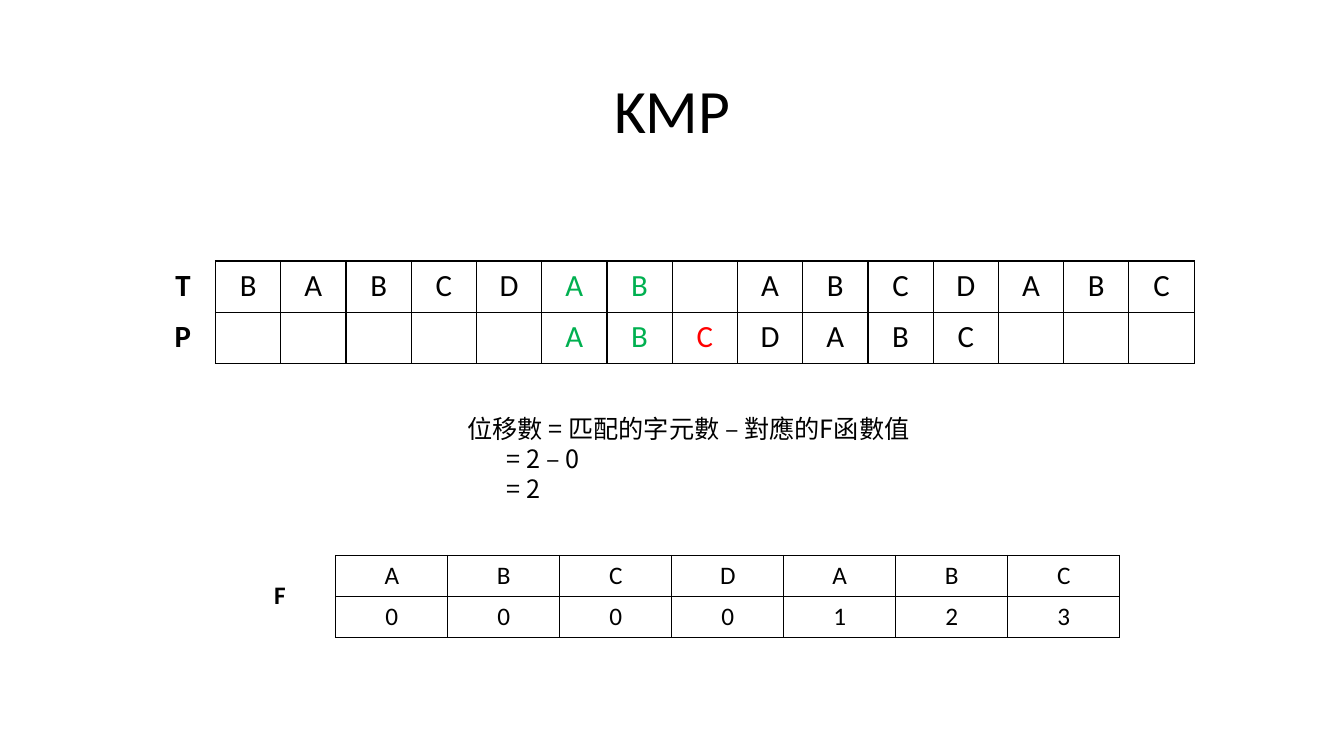
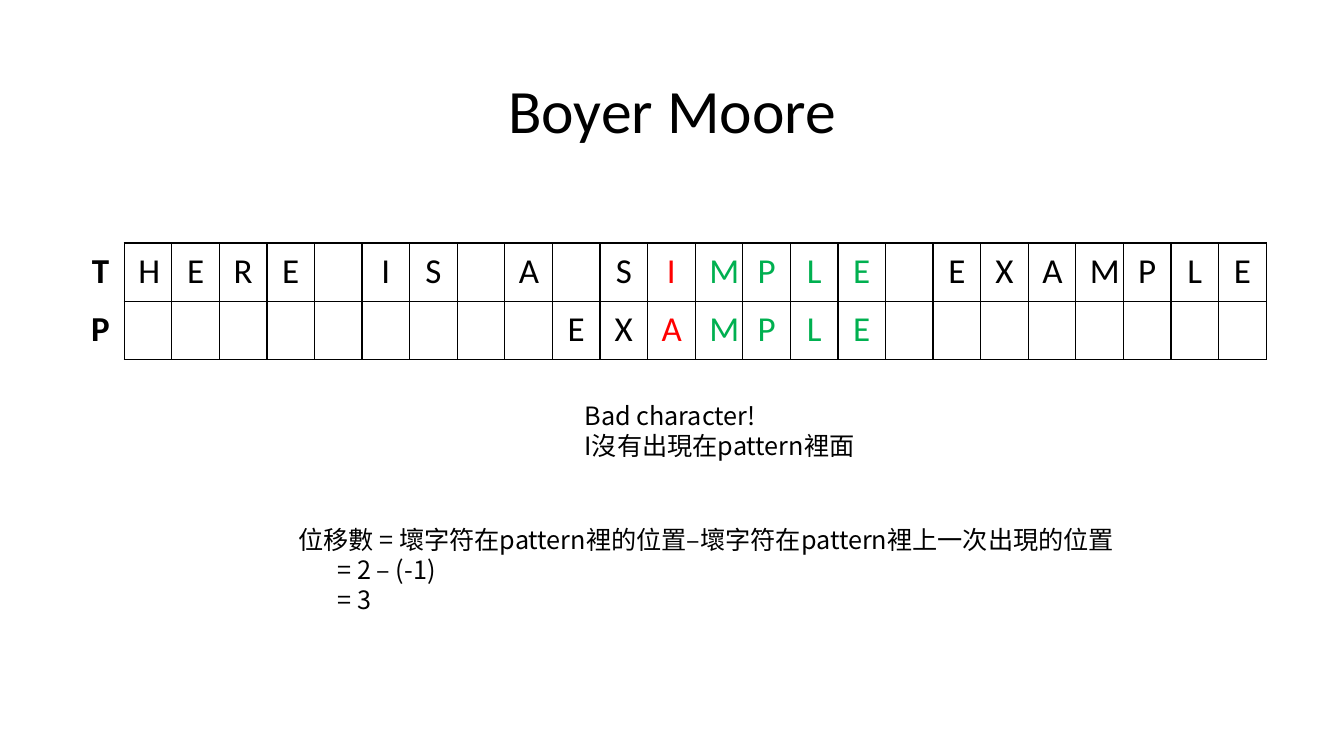
from lxml.etree import SubElement
from pptx import Presentation
from pptx.dml.color import RGBColor
from pptx.enum.text import MSO_ANCHOR as Anchor, MSO_AUTO_SIZE as AutoSize, PP_ALIGN as Align
from pptx.oxml import parse_xml
from pptx.oxml.ns import nsdecls, qn
from pptx.util import Inches, Pt

SLIDE_WIDTH, SLIDE_HEIGHT = Inches(13.333), Inches(7.5)
BLACK, GREEN, RED = "000000", "00B050", "FF0000"
LATIN, CJK = "Calibri", "Noto Sans CJK SC"
TITLE_AREA = (6.9, 5.33, 86.25, 19.33)
TITLE_FORMAT = {"size": Pt(44), "name": LATIN}
NOTE_FORMAT = {"size": Pt(18), "name": CJK}
STEP_INDENT = Inches(0.39)


def rgb(value):
    """Turn a hex string into a colour."""
    return RGBColor.from_string(value)


def area(left, top, width, height):
    """Turn percentages of the slide into left, top, width and height."""
    sides = (SLIDE_WIDTH, SLIDE_HEIGHT) * 2
    return [int(side * share / 100) for side, share in zip(sides, (left, top, width, height))]


def set_attributes(target, values):
    """Set every attribute in a dict of format values."""
    for attribute, value in values.items():
        setattr(target, attribute, value)


def write(paragraph, text, font_format, colour=BLACK):
    """Add one formatted run to a paragraph."""
    run = paragraph.add_run()
    run.text = text
    set_attributes(run.font, font_format)
    run.font.color.rgb = rgb(colour)
    return run


def add_titled_slide(deck, heading):
    """Add a slide with a centred title."""
    slide = deck.slides.add_slide(deck.slide_layouts[5])
    title = slide.shapes.title
    set_attributes(title, dict(zip(("left", "top", "width", "height"), area(*TITLE_AREA))))
    title.text_frame.vertical_anchor = Anchor.MIDDLE
    paragraph = title.text_frame.paragraphs[0]
    set_attributes(paragraph, {"alignment": Align.CENTER, "line_spacing": 0.9})
    write(paragraph, heading, TITLE_FORMAT)
    return slide


def set_borders(cell, black_sides):
    """Draw the given sides of a cell in black and hide the others."""
    for position, side in enumerate("LRTB"):
        paint = (f'<a:solidFill><a:srgbClr val="{BLACK}"/></a:solidFill>'
                 if side in black_sides else "<a:noFill/>")
        border = parse_xml(f'<a:ln{side} {nsdecls("a")} w="{Pt(1)}">{paint}</a:ln{side}>')
        cell._tc.get_or_add_tcPr().insert(position, border)


def add_letter_table(slide, place, rows, size, margins, colours):
    """Add a table of single letters whose bold first column labels the rows."""
    left, top, width, height = area(*place)
    column_count = len(rows[0])
    table = slide.shapes.add_table(len(rows), column_count, left, top, width, height).table
    set_attributes(table, {"first_row": False, "horz_banding": False})
    for column in table.columns:
        column.width = width // column_count
    side_margin, end_margin = map(Inches, margins)
    cell_format = {"margin_left": side_margin, "margin_right": side_margin,
                   "margin_top": end_margin, "margin_bottom": end_margin}
    for row_index, letters in enumerate(rows):
        for column_index, letter in enumerate(letters):
            cell = table.cell(row_index, column_index)
            is_label = column_index == 0
            set_attributes(cell, cell_format)
            cell.fill.background()
            set_borders(cell, "R" if is_label else "LRTB")
            paragraph = cell.text_frame.paragraphs[0]
            paragraph.alignment = Align.CENTER
            if letter.strip():
                letter_format = {"size": Pt(size), "name": LATIN, "bold": is_label}
                write(paragraph, letter, letter_format, colours.get(column_index, BLACK))
    return table


def add_alignment(slide, place, text, pattern, shift, matched, mismatch, size, margins):
    """Show a pattern shifted below a text, with compared letters coloured."""
    rows = ["T" + text, "P" + (" " * shift + pattern).ljust(len(text))]
    colours = {index + 1: GREEN for index in matched} | {mismatch + 1: RED}
    add_letter_table(slide, place, rows, size, margins, colours)


def add_failure_table(slide, place, pattern, values):
    """Show the failure function under the letters of its pattern."""
    table = add_letter_table(slide, place, ["F" + pattern, " " + values], 18, (0.1, 0.05), {})
    label = table.cell(0, 0)
    label.merge(table.cell(1, 0))
    label.vertical_anchor = Anchor.MIDDLE


def add_note(slide, place, lines, steps=()):
    """Add lines of explanation followed by indented calculation steps."""
    frame = slide.shapes.add_textbox(*area(*place)).text_frame
    set_attributes(frame, {"word_wrap": True, "auto_size": AutoSize.SHAPE_TO_FIT_TEXT})
    for index, line in enumerate([*lines, *steps]):
        paragraph = frame.add_paragraph() if index else frame.paragraphs[0]
        if index >= len(lines):
            paragraph._p.get_or_add_pPr().set("marL", str(STEP_INDENT))
        run = write(paragraph, line, NOTE_FORMAT)
        SubElement(run._r.get_or_add_rPr(), qn("a:ea"), typeface=CJK)


def add_kmp_slide(deck):
    """Explain one shift of the KMP search."""
    slide = add_titled_slide(deck, "KMP")
    pattern = "ABCDABC"
    add_alignment(slide, (11.18, 34.53, 77.7, 13.6), "BABCDAB ABCDABC", pattern,
                  shift=5, matched=range(5, 7), mismatch=7, size=22, margins=(0.13, 0.06))
    add_failure_table(slide, (16.65, 73.47, 66.68, 10.83), pattern, "0000123")
    add_note(slide, (34.05, 54, 37.5, 13.47),
             ["位移數 = 匹配的字元數 – 對應的F函數值"], ["= 2 – 0", "= 2"])


def add_boyer_moore_slide(deck):
    """Explain one bad character shift of the Boyer Moore search."""
    slide = add_titled_slide(deck, "Boyer Moore")
    add_alignment(slide, (5.7, 32.13, 88.58, 15.47), "HERE IS A SIMPLE EXAMPLE", "EXAMPLE",
                  shift=9, matched=range(12, 16), mismatch=11, size=25, margins=(0.14, 0.07))
    add_note(slide, (42.75, 52.27, 22.35, 9.47), ["Bad character!", "I沒有出現在pattern裡面"])
    add_note(slide, (21.45, 68.67, 66.83, 13.47),
             ["位移數 = 壞字符在pattern裡的位置–壞字符在pattern裡上一次出現的位置"],
             ["= 2 – (-1)", "= 3"])


def main():
    """Build and save the presentation."""
    deck = Presentation()
    set_attributes(deck, {"slide_width": SLIDE_WIDTH, "slide_height": SLIDE_HEIGHT})
    add_kmp_slide(deck)
    add_boyer_moore_slide(deck)
    deck.save("out.pptx")


if __name__ == "__main__":
    main()
